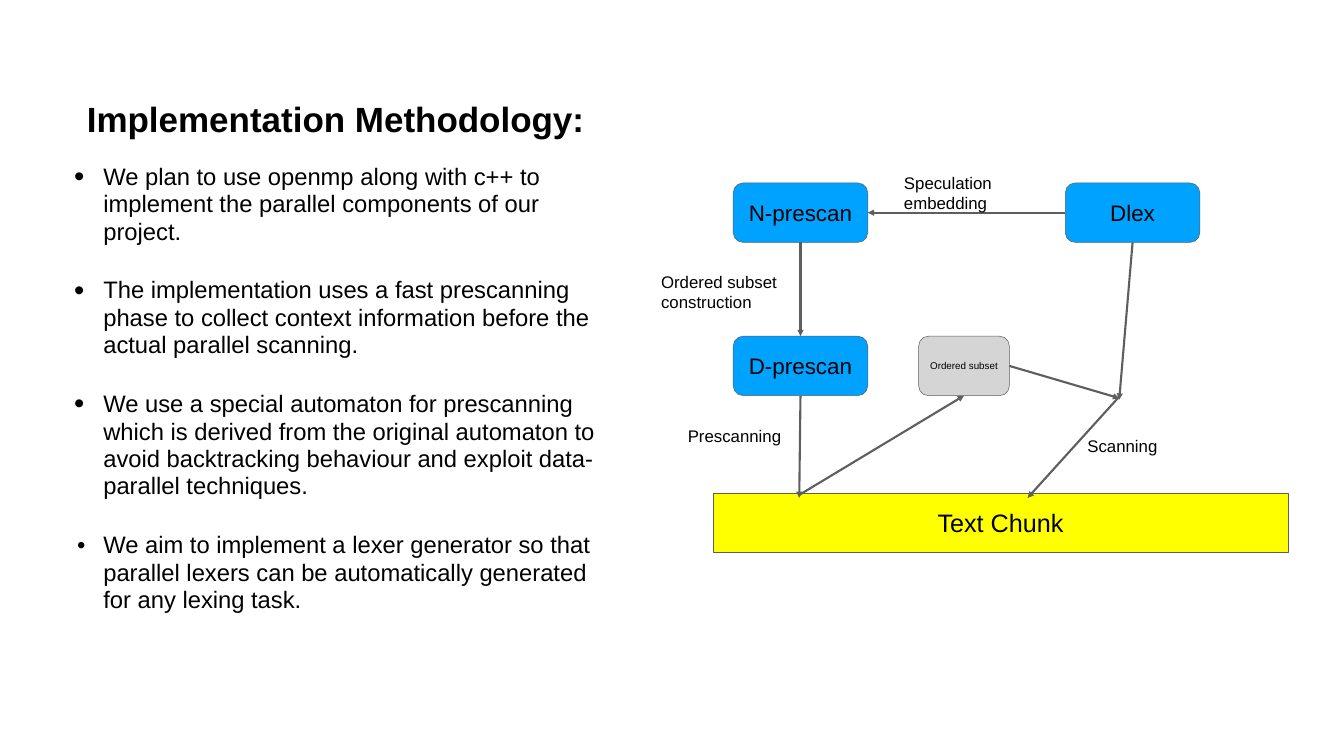
from pptx import Presentation
from pptx.dml.color import RGBColor
from pptx.enum import shapes, text
from pptx.oxml.ns import qn
from pptx.oxml.xmlchemy import OxmlElement
from pptx.util import Inches, Pt

BLACK, GREY, LIGHT_GREY = "000000", "5E5E5E", "D5D5D5"
BLUE, YELLOW = "00A2FF", "FFFF00"
TOP, LEFT, BOTTOM, RIGHT = range(4)
BOX_WIDTH, BOX_HEIGHT = 2.67, 1.18
LEFT_COLUMN, RIGHT_COLUMN = 14.55, 21.14
UPPER_ROW, LOWER_ROW = 3.63, 6.67

METHOD_POINTS = [
    "We plan to use openmp along with c++ to implement the parallel components of our project.",
    "The implementation uses a fast prescanning phase to collect context information before the "
    "actual parallel scanning.",
    "We use a special automaton for prescanning which is derived from the original automaton to "
    "avoid backtracking behaviour and exploit data-parallel techniques.",
    "We aim to implement a lexer generator so that parallel lexers can be automatically generated "
    "for any lexing task.",
]
STEP_LABELS = [
    ("Speculation embedding", 17.84, 3.33, 2.67, 1),
    ("Ordered subset construction", 13.02, 5.29, 2.86, 1),
    ("Prescanning", 13.55, 8.34, 2.33, 0.59),
    ("Scanning", 21.48, 8.55, 2.33, 0.59),
]


def color(hex_value):
    return RGBColor.from_string(hex_value)


def place(shape, left, top, width, height):
    shape.left, shape.top = Inches(left), Inches(top)
    shape.width, shape.height = Inches(width), Inches(height)


def prepare_frame(shape, inset, anchor):
    frame = shape.text_frame
    frame.word_wrap = True
    frame.auto_size = text.MSO_AUTO_SIZE.NONE
    frame.vertical_anchor = anchor
    frame.margin_left = frame.margin_right = Inches(inset)
    frame.margin_top = frame.margin_bottom = Inches(inset)
    return frame


def write(paragraph, words, size, bold=False, align=text.PP_ALIGN.LEFT, spacing=1.0, before=0):
    run = paragraph.add_run()
    run.text = words
    run.font.name = "Arial"
    run.font.size = Pt(size)
    run.font.bold = bold
    run.font.color.rgb = color(BLACK)
    paragraph.alignment = align
    paragraph.line_spacing = spacing
    paragraph.space_before = Pt(before)


def add_xml(parent, tag, **attributes):
    child = OxmlElement(tag)
    for name, value in attributes.items():
        child.set(name, str(value))
    parent.append(child)
    return child


def set_bullet(paragraph, indent, percent):
    properties = paragraph._p.get_or_add_pPr()
    properties.set("marL", str(Inches(0.67)))
    properties.set("indent", str(Inches(indent)))
    add_xml(add_xml(properties, "a:buClr"), "a:srgbClr", val=BLACK)
    add_xml(properties, "a:buSzPct", val=percent * 1000)
    add_xml(properties, "a:buFont", typeface="Arial")
    add_xml(properties, "a:buChar", char="•")


def fill_title(title):
    place(title, 1.32, 1.18, 10.69, 2.34)
    frame = prepare_frame(title, 0.06, text.MSO_ANCHOR.MIDDLE)
    write(frame.paragraphs[0], "Implementation Methodology:", 50, bold=True,
          align=text.PP_ALIGN.CENTER)


def fill_points(body):
    place(body, 1.32, 3.18, 10.69, 10.01)
    frame = prepare_frame(body, 0.06, text.MSO_ANCHOR.TOP)
    for index, point in enumerate(METHOD_POINTS):
        paragraph = frame.add_paragraph() if index else frame.paragraphs[0]
        write(paragraph, point, 34, spacing=0.96, before=45 if index else 0)
        last = index == len(METHOD_POINTS) - 1
        set_bullet(paragraph, -0.52 if last else -0.58, 100 if last else 123)


def add_box(slide, words, left, top, width=BOX_WIDTH, fill=BLUE, size=32,
            kind=shapes.MSO_SHAPE.ROUNDED_RECTANGLE):
    box = slide.shapes.add_shape(kind, Inches(left), Inches(top), Inches(width),
                                 Inches(BOX_HEIGHT))
    box.shadow.inherit = False
    box.fill.solid()
    box.fill.fore_color.rgb = color(fill)
    box.line.color.rgb = color(GREY)
    box.line.width = Pt(0.75)
    frame = prepare_frame(box, 0.1, text.MSO_ANCHOR.MIDDLE)
    write(frame.paragraphs[0], words, size, align=text.PP_ALIGN.CENTER)
    return box


def add_label(slide, words, left, top, width, height):
    label = slide.shapes.add_textbox(Inches(left), Inches(top), Inches(width), Inches(height))
    frame = prepare_frame(label, 0.1, text.MSO_ANCHOR.TOP)
    write(frame.paragraphs[0], words, 24)


def add_arrow(slide, start, end):
    """Each end is a (box, side) pair or an (x, y) point in inches."""
    arrow = slide.shapes.add_connector(shapes.MSO_CONNECTOR.STRAIGHT, 0, 0, 0, 0)
    if isinstance(start[0], float):
        arrow.begin_x, arrow.begin_y = map(Inches, start)
    else:
        arrow.begin_connect(*start)
    if isinstance(end[0], float):
        arrow.end_x, arrow.end_y = map(Inches, end)
    else:
        arrow.end_connect(*end)
    arrow.line.color.rgb = color(GREY)
    arrow.line.width = Pt(3)
    properties = arrow.element.spPr
    add_xml(properties.find(qn("a:ln")), "a:tailEnd", type="triangle")
    add_xml(properties, "a:effectLst")


def add_diagram(slide):
    dlex = add_box(slide, "Dlex", RIGHT_COLUMN, UPPER_ROW)
    n_prescan = add_box(slide, "N-prescan", LEFT_COLUMN, UPPER_ROW)
    d_prescan = add_box(slide, "D-prescan", LEFT_COLUMN, LOWER_ROW)
    add_box(slide, "Text Chunk", 14.15, 9.78, width=11.41, fill=YELLOW, size=36,
            kind=shapes.MSO_SHAPE.RECTANGLE)
    subset = add_box(slide, "Ordered subset", 18.23, LOWER_ROW, width=1.8,
                     fill=LIGHT_GREY, size=14)
    for start, end in [
        ((n_prescan, BOTTOM), (d_prescan, TOP)),
        ((dlex, LEFT), (n_prescan, RIGHT)),
        ((d_prescan, BOTTOM), (15.86, 9.88)),
        ((15.86, 9.82), (subset, BOTTOM)),
        ((subset, RIGHT), (22.21, 7.9)),
        ((dlex, BOTTOM), (22.21, 7.93)),
        ((22.21, 7.87), (20.39, 9.88)),
    ]:
        add_arrow(slide, start, end)
    for label in STEP_LABELS:
        add_label(slide, *label)


def main():
    presentation = Presentation()
    presentation.slide_width, presentation.slide_height = Inches(26.67), Inches(15)
    slide = presentation.slides.add_slide(presentation.slide_layouts[1])
    fill_title(slide.shapes.title)
    fill_points(slide.placeholders[1])
    add_diagram(slide)
    presentation.save("out.pptx")


if __name__ == "__main__":
    main()
